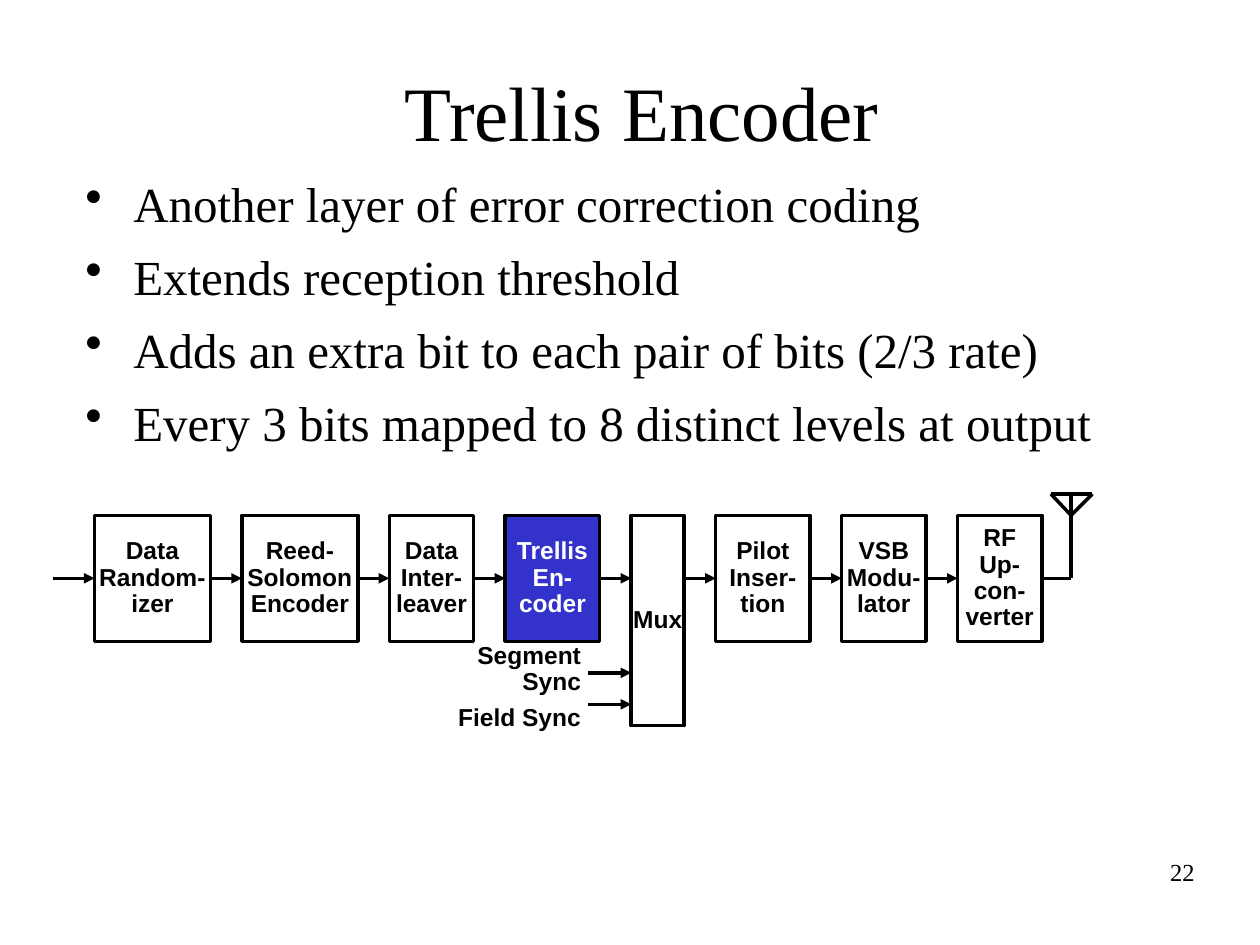
import pptx
import pptx.dml.color
import pptx.enum.shapes
import pptx.enum.text
import pptx.oxml
import pptx.oxml.ns
import pptx.util

Inches = pptx.util.Inches
Pt = pptx.util.Pt
ALIGN = pptx.enum.text.PP_ALIGN
ANCHOR = pptx.enum.text.MSO_ANCHOR

BLACK, WHITE, BLUE = "000000", "FFFFFF", "3333CC"
SERIF, SANS = "Times New Roman", "Arial"
BLOCK_TOP, BLOCK_HEIGHT, GAP = 4.09, 1, 0.25
SIGNAL_Y = BLOCK_TOP + BLOCK_HEIGHT / 2

BULLETS = [
    "Another layer of error correction coding",
    "Extends reception threshold",
    "Adds an extra bit to each pair of bits (2/3 rate)",
    "Every 3 bits mapped to 8 distinct levels at output",
]
# Lines of text and width of each block in the signal chain
BLOCKS = [
    (["Data", "Random-", "izer"], 0.92),
    (["Reed-", "Solomon", "Encoder"], 0.92),
    (["Data", "Inter-", "leaver"], 0.67),
    (["Trellis", "En-", "coder"], 0.75),
    (["Mux"], 0.42),
    (["Pilot", "Inser-", "tion"], 0.75),
    (["VSB", "Modu-", "lator"], 0.67),
    (["RF", "Up-", "con-", "verter"], 0.67),
]


def color(value):
    return pptx.dml.color.RGBColor.from_string(value)


def add_bullet(para):
    props = para._p.get_or_add_pPr()
    props.set("marL", str(Inches(0.38)))
    props.set("indent", str(-Inches(0.38)))
    bullet = pptx.oxml.parse_xml(
        f'<a:buChar {pptx.oxml.ns.nsdecls("a")} char="•"/>')
    props.append(bullet)


def write(box, lines, *, size=14, font=SANS, fill=BLACK, bold=False,
          align=ALIGN.LEFT, anchor=ANCHOR.TOP, wrap=True, spacing=None,
          before=0, bullet=False):
    frame = box.text_frame
    frame.word_wrap = wrap
    frame.vertical_anchor = anchor
    for index, line in enumerate(lines):
        para = frame.paragraphs[0] if index == 0 else frame.add_paragraph()
        para.alignment = align
        if spacing:
            para.line_spacing = spacing
        if index and before:
            para.space_before = Pt(before)
        if bullet:
            add_bullet(para)
        span = para.add_run()
        span.text = line
        span.font.size = Pt(size)
        span.font.name = font
        span.font.bold = bold
        span.font.color.rgb = color(fill)


def add_text(page, lines, left, top, width, height, **text_format):
    box = page.shapes.add_textbox(
        Inches(left), Inches(top), Inches(width), Inches(height))
    write(box, lines, **text_format)


def add_block(page, lines, left, width, height, fill, text_color):
    box = page.shapes.add_shape(
        pptx.enum.shapes.MSO_SHAPE.RECTANGLE,
        Inches(left), Inches(BLOCK_TOP), Inches(width), Inches(height))
    box.shadow.inherit = False
    box.fill.solid()
    box.fill.fore_color.rgb = color(fill)
    box.line.color.rgb = color(BLACK)
    box.line.width = Pt(2)
    write(box, lines, fill=text_color, bold=True, align=ALIGN.CENTER,
          anchor=ANCHOR.MIDDLE, wrap=False, spacing=0.9)
    return box


def add_line(page, x1, y1, x2, y2, arrow=False, source=None, target=None):
    line = page.shapes.add_connector(
        pptx.enum.shapes.MSO_CONNECTOR.STRAIGHT,
        Inches(x1), Inches(y1), Inches(x2), Inches(y2))
    line.line.color.rgb = color(BLACK)
    line.line.width = Pt(2)
    names = pptx.oxml.ns.nsdecls("a")
    if arrow:
        line.line._get_or_add_ln().append(
            pptx.oxml.parse_xml(f'<a:tailEnd {names} type="triangle"/>'))
    line._element.spPr.append(pptx.oxml.parse_xml(f"<a:effectLst {names}/>"))
    if source is not None:
        line.begin_connect(source, 3)
    if target is not None:
        line.end_connect(target, 1)


def add_chain(page):
    """Draw the blocks from left to right, each with its input arrow."""
    left, source = 0.75, None
    for lines, width in BLOCKS:
        is_mux = lines == ["Mux"]
        is_trellis = lines[0] == "Trellis"
        box = add_block(page, lines, left, width,
                        1.67 if is_mux else BLOCK_HEIGHT,
                        BLUE if is_trellis else WHITE,
                        WHITE if is_trellis else BLACK)
        start = left - GAP if left > 0.75 else 0.42
        # The signal meets the taller Mux above the middle of its sides
        add_line(page, start, SIGNAL_Y, left, SIGNAL_Y, arrow=True,
                 source=source, target=None if is_mux else box)
        source = None if is_mux else box
        left += width + GAP
    return source


def add_antenna(page, converter):
    left, mast, right = 8.34, 8.5, 8.67
    top, joint = 3.92, BLOCK_TOP
    add_line(page, 8.26, SIGNAL_Y, mast, SIGNAL_Y, source=converter)
    add_line(page, mast, SIGNAL_Y, mast, top)
    add_line(page, left, top, right, top)
    for tip in (left, right):
        add_line(page, tip, top, mast, joint)


def main():
    deck = pptx.Presentation()
    deck.slide_width, deck.slide_height = Inches(10), Inches(7.5)
    page = deck.slides.add_slide(deck.slide_layouts[6])

    # Title and bullets
    add_text(page, ["Trellis Encoder"], 0.42, 0.25, 9.35, 1.25, size=44,
             font=SERIF, align=ALIGN.CENTER, anchor=ANCHOR.MIDDLE)
    add_text(page, BULLETS, 0.58, 1.33, 8.75, 2.42, size=28, font=SERIF,
             before=8, bullet=True)

    # Signal chain and antenna
    converter = add_chain(page)
    add_antenna(page, converter)

    # Sync inputs of the Mux
    add_text(page, ["Segment Sync", "Field Sync"], 3.17, 5.16, 1.54, 0.59,
             bold=True, align=ALIGN.RIGHT, anchor=ANCHOR.MIDDLE, wrap=False,
             spacing=0.9, before=5)
    for y in (5.34, 5.59):
        add_line(page, 4.67, y, 5.01, y, arrow=True)

    # Page number
    add_text(page, ["22"], 7.5, 6.75, 2.08, 0.5, font=SERIF,
             align=ALIGN.RIGHT)

    deck.save("out.pptx")


if __name__ == "__main__":
    main()
